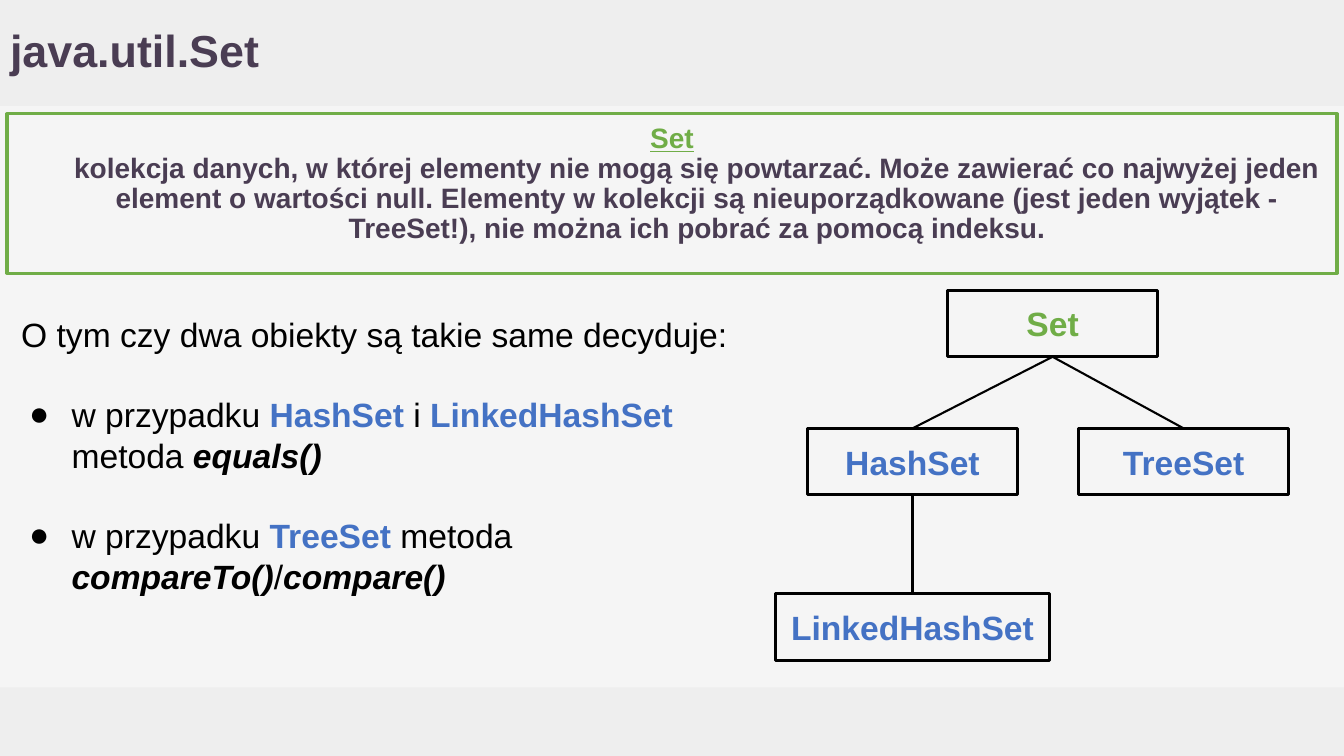
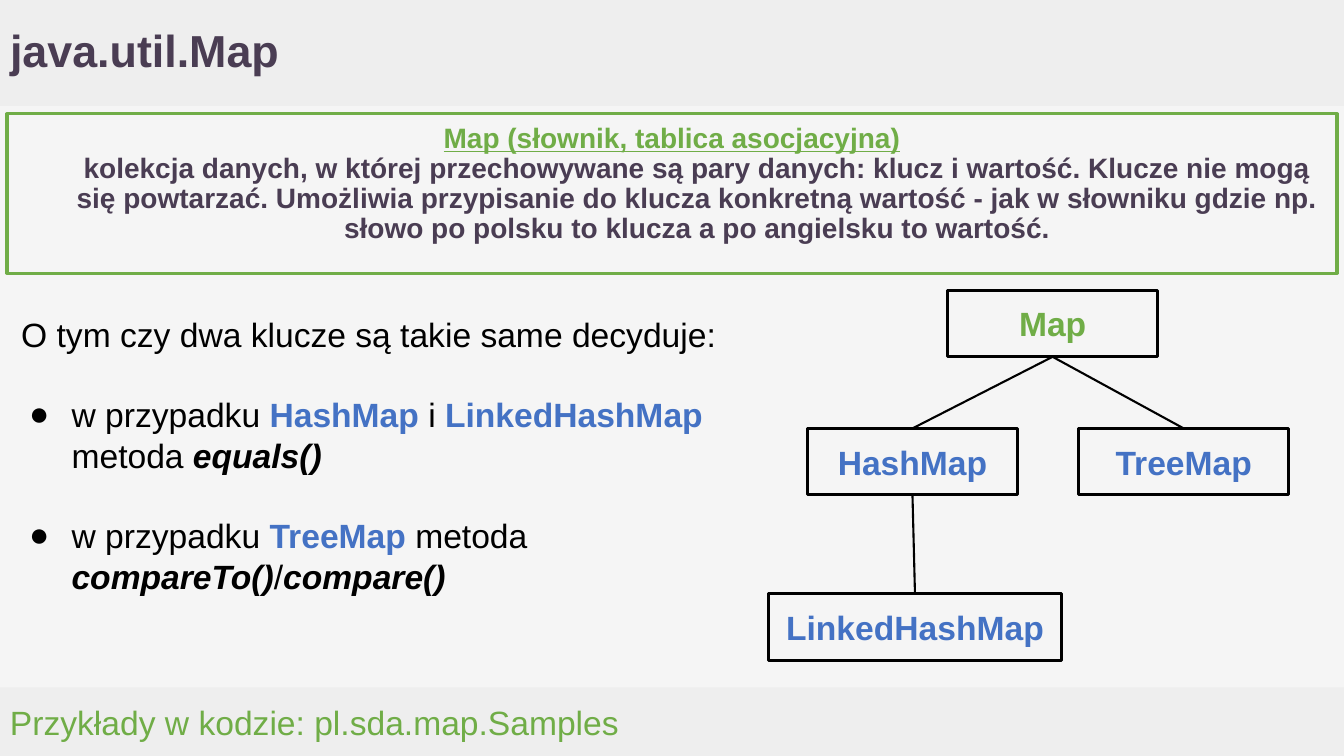
from lxml.etree import SubElement
from pptx import Presentation
from pptx.dml.color import RGBColor
from pptx.enum.shapes import MSO_CONNECTOR, MSO_SHAPE
from pptx.enum.text import MSO_ANCHOR, MSO_AUTO_SIZE, PP_ALIGN
from pptx.oxml.ns import qn
from pptx.util import Inches, Pt

COLORS = {
    "back": "F5F5F5",
    "band": "EEEEEE",
    "plum": "4A3D53",
    "green": "70AD47",
    "blue": "4472C4",
    "black": "000000",
}
FONT = "Arial"
TOP, LEFT, BOTTOM = 0, 1, 2
WIDTH, HEIGHT = 13.33, 7.5
BOX_W, BOX_H = 2.08, 0.66

TOPICS = [
    {
        "kind": "Set",
        "term": "Set",
        "about": "kolekcja danych, w której elementy nie mogą się powtarzać. "
                 "Może zawierać co najwyżej jeden element o wartości null. "
                 "Elementy w kolekcji są nieuporządkowane (jest jeden wyjątek - "
                 "TreeSet!), nie można ich pobrać za pomocą indeksu.",
        "noun": "obiekty",
        "linked": (7.69, 2.72),
        "foot": None,
    },
    {
        "kind": "Map",
        "term": "Map (słownik, tablica asocjacyjna)",
        "about": "kolekcja danych, w której przechowywane są pary danych: "
                 "klucz i wartość. Klucze nie mogą się powtarzać. Umożliwia "
                 "przypisanie do klucza konkretną wartość - jak w słowniku "
                 "gdzie np. słowo po polsku to klucza a po angielsku to wartość.",
        "noun": "klucze",
        "linked": (7.62, 2.91),
        "foot": "Przykłady w kodzie: pl.sda.map.Samples",
    },
]


def rgb(name):
    return RGBColor.from_string(COLORS[name])


def write(para, text, size=24, color="black", bold=False, italic=False, under=False):
    run = para.add_run()
    run.text = text
    font = run.font
    font.name, font.size = FONT, Pt(size)
    font.bold, font.italic, font.underline = bold, italic, under
    font.color.rgb = rgb(color)


def place(shape, left, top, width, height):
    shape.left, shape.top = Inches(left), Inches(top)
    shape.width, shape.height = Inches(width), Inches(height)


def setup(shape, anchor=MSO_ANCHOR.TOP):
    frame = shape.text_frame
    frame.word_wrap = True
    frame.auto_size = MSO_AUTO_SIZE.NONE
    frame.vertical_anchor = anchor
    frame.margin_left = frame.margin_right = Inches(0.1)
    frame.margin_top = frame.margin_bottom = Inches(0.1)
    return frame


def indent(para, left, first=0, bullet=None):
    props = para._p.get_or_add_pPr()
    props.set("marL", str(Inches(left)))
    props.set("indent", str(Inches(first)))
    if bullet:
        tint = SubElement(props, qn("a:buClr"))
        SubElement(tint, qn("a:srgbClr"), val=COLORS["black"])
        SubElement(props, qn("a:buFont"), typeface=FONT)
        SubElement(props, qn("a:buChar"), char=bullet)
    else:
        SubElement(props, qn("a:buNone"))


def add_rect(slide, left, top, width, height, fill=None, line=None):
    rect = slide.shapes.add_shape(
        MSO_SHAPE.RECTANGLE, Inches(left), Inches(top), Inches(width), Inches(height))
    rect.shadow.inherit = False
    if fill:
        rect.fill.solid()
        rect.fill.fore_color.rgb = rgb(fill)
    else:
        rect.fill.background()
    if line:
        rect.line.color.rgb = rgb(line)
        rect.line.width = Pt(2.25)
    else:
        rect.line.fill.background()
    return rect


def add_node(slide, text, left, top, width=BOX_W, color="blue"):
    node = add_rect(slide, left, top, width, BOX_H, line="black")
    para = setup(node, MSO_ANCHOR.MIDDLE).paragraphs[0]
    para.alignment = PP_ALIGN.CENTER
    write(para, text, color=color, bold=True)
    return node


def add_link(slide, start, end):
    link = slide.shapes.add_connector(MSO_CONNECTOR.STRAIGHT, 0, 0, 0, 0)
    link.begin_connect(start, BOTTOM)
    link.end_connect(end, TOP)
    link.line.color.rgb = rgb("black")
    link.line.width = Pt(1.5)
    SubElement(link._element.spPr, qn("a:effectLst"))


def add_title(slide, text):
    title = slide.shapes.title
    place(title, 0, 0, 11.92, 1.05)
    para = setup(title, MSO_ANCHOR.MIDDLE).paragraphs[0]
    para.alignment = PP_ALIGN.LEFT
    para.line_spacing = 0.9
    write(para, text, size=32, color="plum", bold=True)


def add_term(slide, term, about):
    frame = setup(add_rect(slide, 0.07, 1.13, 13.19, 1.58, line="green"))
    head, body = frame.paragraphs[0], frame.add_paragraph()
    indent(body, 0.5)
    for para in (head, body):
        para.alignment = PP_ALIGN.CENTER
        para.line_spacing = 0.9
    write(head, term, size=20, color="green", bold=True, under=True)
    write(body, about, size=20, color="plum", bold=True)


def add_list(slide, kind, noun):
    body = slide.placeholders[1]
    place(body, 0.11, 3.01, 7.29, 3.69)
    frame = setup(body)
    name = {"color": "blue", "bold": True}
    code = {"bold": True, "italic": True}
    intro = frame.paragraphs[0]
    indent(intro, 0)
    intro.space_before = Pt(0)
    write(intro, f"O tym czy dwa {noun} są takie same decyduje:")
    items = [
        [("w przypadku ", {}), (f"Hash{kind} ", name), ("i ", {}),
         (f"LinkedHash{kind} ", name), ("metoda ", {}), ("equals()", code)],
        [("w przypadku ", {}), (f"Tree{kind} ", name), ("metoda ", {}),
         ("compareTo()", code), ("/", {}), ("compare()", code)],
    ]
    for item in items:
        para = frame.add_paragraph()
        indent(para, 0.5, -0.42, "●")
        para.space_before = Pt(28.8)
        for text, style in item:
            write(para, text, **style)


def add_tree(slide, kind, linked):
    left, width = linked
    root = add_node(slide, kind, 9.4, 2.88, color="green")
    hashed = add_node(slide, f"Hash{kind}", 8.01, 4.25)
    sorted_box = add_node(slide, f"Tree{kind}", 10.7, 4.25)
    chain = add_node(slide, f"LinkedHash{kind}", left, 5.89, width)
    for start, end in ((root, hashed), (root, sorted_box), (hashed, chain)):
        add_link(slide, start, end)


def add_foot(slide, text):
    box = slide.shapes.add_textbox(
        Inches(0), Inches(6.86), Inches(10.31), Inches(0.66))
    write(setup(box).paragraphs[0], text, color="green")


def add_bands(master, slide):
    for top, height in ((0, 1.05), (6.82, 0.68)):
        band = add_rect(slide, 0, top, WIDTH, height, fill="band")
        master.shapes.element.insert(2, band.element)


def main():
    deck = Presentation()
    deck.slide_width, deck.slide_height = Inches(WIDTH), Inches(HEIGHT)
    master = deck.slide_master
    master.background.fill.solid()
    master.background.fill.fore_color.rgb = rgb("back")
    slides = [deck.slides.add_slide(deck.slide_layouts[1]) for _ in TOPICS]
    add_bands(master, slides[0])
    for slide, topic in zip(slides, TOPICS):
        add_title(slide, f"java.util.{topic['kind']}")
        add_term(slide, topic["term"], topic["about"])
        add_list(slide, topic["kind"], topic["noun"])
        add_tree(slide, topic["kind"], topic["linked"])
        if topic["foot"]:
            add_foot(slide, topic["foot"])
    deck.save("out.pptx")


if __name__ == "__main__":
    main()
